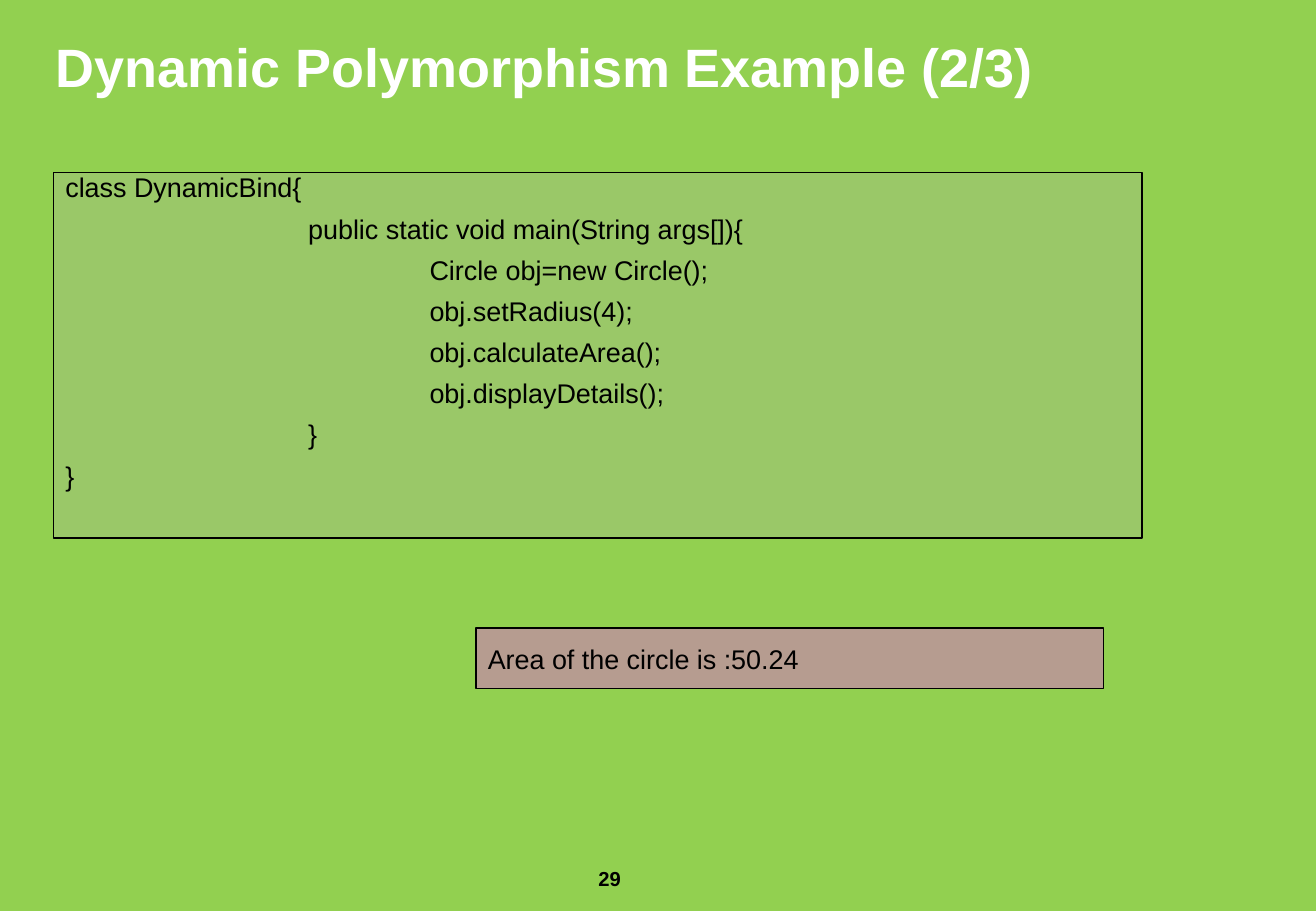
from lxml import etree
from pptx import Presentation
from pptx.dml.color import RGBColor
from pptx.enum.shapes import MSO_SHAPE
from pptx.enum.text import MSO_ANCHOR, PP_ALIGN
from pptx.oxml.ns import qn
from pptx.util import Inches, Pt

RECTANGLE = MSO_SHAPE.RECTANGLE
TOP, MIDDLE = MSO_ANCHOR.TOP, MSO_ANCHOR.MIDDLE
LEFT = PP_ALIGN.LEFT

TITLE = "Dynamic Polymorphism Example (2/3)"
CODE = [
    "class DynamicBind{",
    "\t\tpublic static void main(String args[]){",
    "\t\t\tCircle obj=new Circle();",
    "\t\t\tobj.setRadius(4);",
    "\t\t\tobj.calculateArea();",
    "\t\t\tobj.displayDetails();",
    "\t\t}",
    "}",
]
OUTPUT = "Area of the circle is :50.24"
PAGE_NUMBER = "29"

GREEN, GREY, ROSE = "92D050", "B2B2B2", "B69C90"
BLACK, WHITE = "000000", "FFFFFF"
CODE_OPACITY = 25  # percent
TAB_STOPS = range(8)  # inches


def paint(color_fill, hex_color):
    color_fill.solid()
    color_fill.fore_color.rgb = RGBColor.from_string(hex_color)


def add_tab_stops(paragraph):
    tab_list = etree.SubElement(paragraph._p.get_or_add_pPr(), qn("a:tabLst"))
    for stop in TAB_STOPS:
        etree.SubElement(tab_list, qn("a:tab"), pos=str(Inches(stop)), algn="l")


def write(shape, lines, size, color=BLACK, bold=False, anchor=TOP, spacing=None):
    """Fill a shape with one left-aligned paragraph per line."""
    frame = shape.text_frame
    frame.word_wrap = True
    frame.vertical_anchor = anchor
    for number, line in enumerate(lines):
        paragraph = frame.add_paragraph() if number else frame.paragraphs[0]
        paragraph.text = line
        paragraph.alignment = LEFT
        if spacing:
            paragraph.line_spacing = spacing
        if number:
            paragraph.space_before = Pt(10)
        add_tab_stops(paragraph)
        font = paragraph.font
        font.name, font.size, font.bold = "Arial", Pt(size), bold
        paint(font.fill, color)


def add_text(slide, box, lines, size, **style):
    write(slide.shapes.add_textbox(*map(Inches, box)), lines, size, **style)


def add_panel(slide, box, fill, lines, **style):
    """Add a black-edged rectangle with text and return it."""
    panel = slide.shapes.add_shape(RECTANGLE, *map(Inches, box))
    panel.shadow.inherit = False
    paint(panel.fill, fill)
    paint(panel.line.fill, BLACK)
    panel.line.width = Pt(1)
    write(panel, lines, 16, **style)
    return panel


def set_opacity(shape, percent):
    color = shape._element.spPr.find(qn("a:solidFill"))[0]
    etree.SubElement(color, qn("a:alpha"), val=str(percent * 1000))


def add_title(slide):
    """Add the heading with a black drop shadow behind its letters."""
    heading = slide.shapes.add_textbox(*map(Inches, (0.36, 0.01, 8.83, 1.06)))
    write(heading, [TITLE], 32, color=WHITE, bold=True, anchor=MIDDLE)
    properties = heading.text_frame.paragraphs[0].runs[0]._r.get_or_add_rPr()
    effects = etree.SubElement(properties, qn("a:effectLst"))
    shadow = etree.SubElement(effects, qn("a:outerShdw"),
                              dist=str(Pt(2)), dir="2700000", algn="tl")
    etree.SubElement(shadow, qn("a:srgbClr"), val=BLACK)


def main():
    deck = Presentation()
    deck.slide_width, deck.slide_height = Inches(10.84), Inches(7.5)
    slide = deck.slides.add_slide(deck.slide_layouts[6])
    paint(slide.background.fill, GREEN)

    add_text(slide, (4.83, 7.08, 0.92, 0.4), [PAGE_NUMBER], 12, bold=True)
    add_title(slide)
    code_panel = add_panel(slide, (0.44, 1.42, 8.97, 3.01), GREY, CODE, spacing=0.75)
    set_opacity(code_panel, CODE_OPACITY)
    add_panel(slide, (3.92, 5.17, 5.17, 0.5), ROSE, [OUTPUT], anchor=MIDDLE)

    deck.save("out.pptx")


if __name__ == "__main__":
    main()
